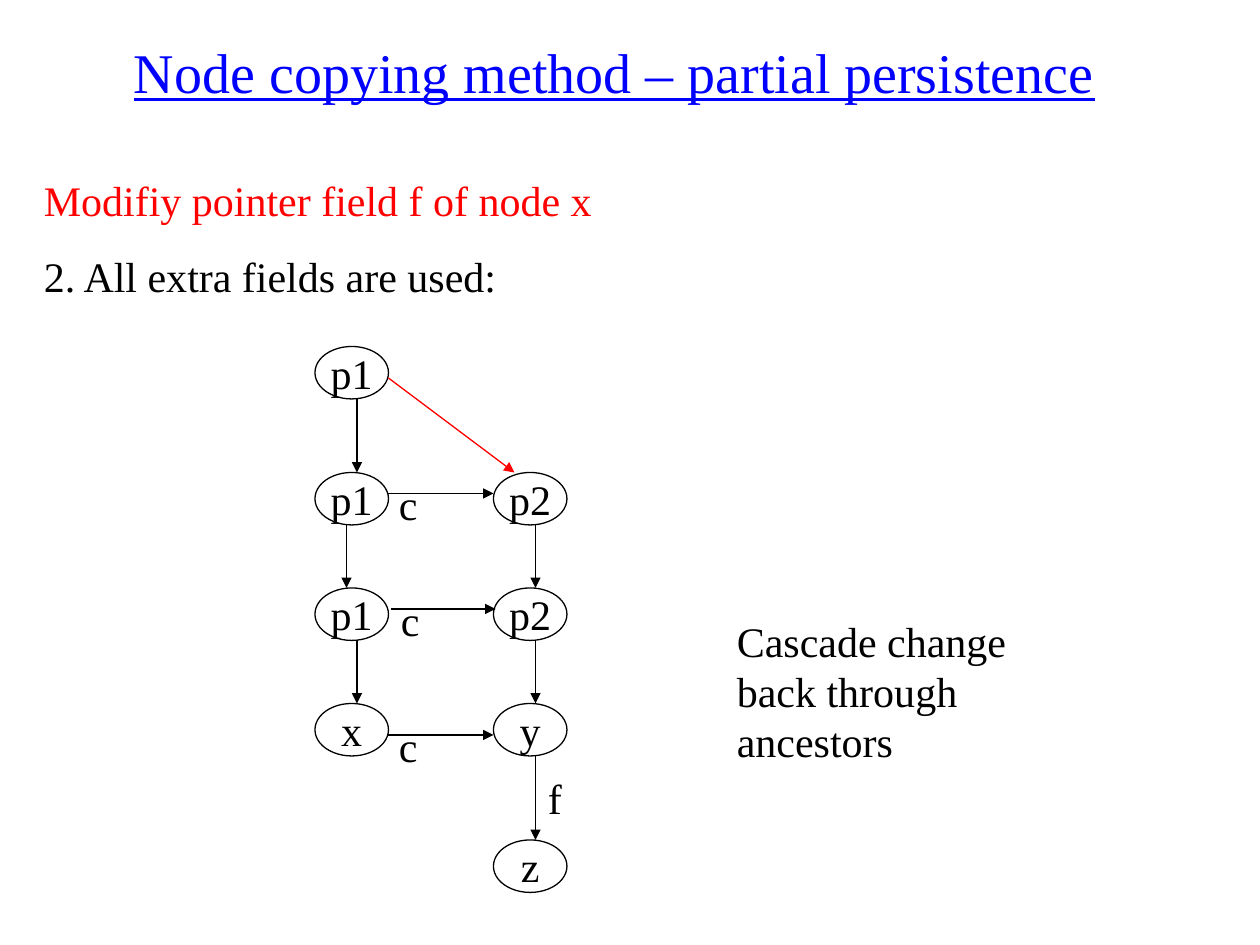
import pptx
import pptx.dml.color
import pptx.enum.shapes
import pptx.enum.text
import pptx.oxml
import pptx.oxml.ns
import pptx.util

EMU_PER_PX = 7620  # 120 px to the inch
FONT = "Times New Roman"
BLACK = pptx.dml.color.RGBColor(0, 0, 0)
WHITE = pptx.dml.color.RGBColor(255, 255, 255)
BLUE = pptx.dml.color.RGBColor(0, 0, 255)
RED = pptx.dml.color.RGBColor(255, 0, 0)
ALIGN = pptx.enum.text.PP_ALIGN
ANCHOR = pptx.enum.text.MSO_ANCHOR

NODE_WIDTH, NODE_HEIGHT = 70, 50
COLUMNS = (0, 170)
ROWS = (0, 120, 230, 340, 470)


def px(value):
    return pptx.util.Emu(value * EMU_PER_PX)


def add_run(paragraph, text, color=BLACK, size=24):
    run = paragraph.add_run()
    run.text = text
    run.font.name = FONT
    run.font.size = pptx.util.Pt(size)
    run.font.color.rgb = color
    return run


def add_text(shapes, box, lines, wrap=True):
    """Add a text box; lines holds one (text, color) pair per paragraph."""
    frame = shapes.add_textbox(*map(px, box)).text_frame
    frame.word_wrap = wrap
    for index, (text, color) in enumerate(lines):
        paragraph = frame.add_paragraph() if index else frame.paragraphs[0]
        if index:
            paragraph.space_before = pptx.util.Pt(15)
        add_run(paragraph, text, color)


def add_arrow(shapes, start, end, color=BLACK):
    arrow = shapes.add_connector(
        pptx.enum.shapes.MSO_CONNECTOR.STRAIGHT, *map(px, start + end))
    arrow.line.color.rgb = color
    arrow.line.width = pptx.util.Pt(0.75)
    tail = pptx.oxml.parse_xml(
        f'<a:tailEnd {pptx.oxml.ns.nsdecls("a")} type="triangle"/>')
    arrow.line._get_or_add_ln().append(tail)
    arrow._element.spPr.append(
        pptx.oxml.parse_xml(f'<a:effectLst {pptx.oxml.ns.nsdecls("a")}/>'))


def add_node(shapes, left, top, label):
    node = shapes.add_shape(pptx.enum.shapes.MSO_SHAPE.OVAL,
                            *map(px, (left, top, NODE_WIDTH, NODE_HEIGHT)))
    node.shadow.inherit = False
    node.fill.solid()
    node.fill.fore_color.rgb = WHITE
    node.line.color.rgb = BLACK
    node.line.width = pptx.util.Pt(0.75)
    frame = node.text_frame
    frame.word_wrap = False
    frame.vertical_anchor = ANCHOR.MIDDLE
    frame.paragraphs[0].alignment = ALIGN.CENTER
    add_run(frame.paragraphs[0], label)


def add_copy_link(shapes, left, top):
    """Group the arrow from a node to its copy with the label c."""
    group = shapes.add_group_shape()
    length = COLUMNS[1] - NODE_WIDTH
    add_arrow(group.shapes, (left, top), (left + length, top))
    add_text(group.shapes, (left - 2, top - 20, 42, 60), [("c", BLACK)], wrap=False)


def add_title(slide, box):
    title = slide.shapes.title
    title.left, title.top, title.width, title.height = map(px, box)
    frame = title.text_frame
    frame.word_wrap = True
    frame.auto_size = pptx.enum.text.MSO_AUTO_SIZE.NONE
    frame.vertical_anchor = ANCHOR.TOP
    paragraph = frame.paragraphs[0]
    paragraph.alignment = ALIGN.CENTER
    run = add_run(paragraph, "Node copying method – partial persistence", BLUE, 32)
    run.font.underline = True


def add_version_graph(slide, left, top):
    shapes = slide.shapes
    old, new = (left + column for column in COLUMNS)
    rows = [top + row for row in ROWS]

    for row, label in zip(rows, ("p1", "p1", "p1", "x")):
        add_node(shapes, old, row, label)
    for row, label in zip(rows[1:], ("p2", "p2", "y", "z")):
        add_node(shapes, new, row, label)

    for index, offset in enumerate((40, 30, 40)):
        x = old + offset
        add_arrow(shapes, (x, rows[index] + NODE_HEIGHT), (x, rows[index + 1]))
    for upper, lower in zip(rows[1:], rows[2:]):
        add_arrow(shapes, (new + 40, upper + NODE_HEIGHT), (new + 40, lower))

    node_right = old + NODE_WIDTH
    for row, shift, drop in zip(rows[1:], (0, 2, 0), (20, 20, 30)):
        add_copy_link(shapes, node_right + shift, row + drop)

    add_text(shapes, (new + 40, rows[3] + 60, 37, 60), [("f", BLACK)], wrap=False)
    add_arrow(shapes, (node_right, top + 30), (new + 20, rows[1]), RED)


def main():
    presentation = pptx.Presentation()
    presentation.slide_width = px(1200)
    presentation.slide_height = px(900)
    slide = presentation.slides.add_slide(presentation.slide_layouts[5])
    add_title(slide, (40, 30, 1090, 174))
    add_text(slide.shapes, (30, 160, 1070, 133), [
        ("Modifiy pointer field f of node x", RED),
        ("2. All extra fields are used:", BLACK),
    ])
    add_text(slide.shapes, (690, 580, 360, 156),
             [("Cascade change back through ancestors", BLACK)])
    add_version_graph(slide, 300, 330)
    presentation.save("out.pptx")


if __name__ == "__main__":
    main()
